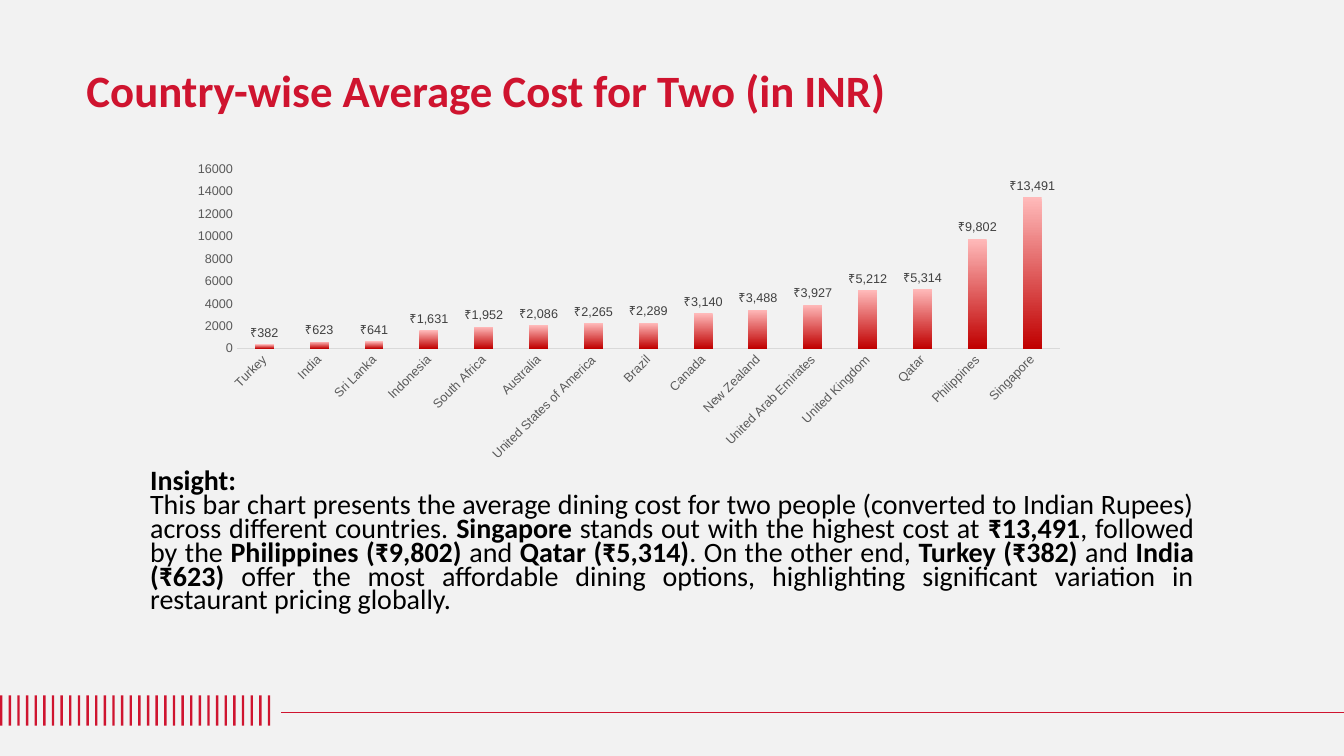
import lxml.etree
import pptx
import pptx.chart.data
import pptx.dml.color
import pptx.enum.chart
import pptx.enum.shapes
import pptx.enum.text
import pptx.oxml
import pptx.oxml.ns
import pptx.util

PX = 9144
COLORS = {
    "background": "F2F2F2", "red": "CF142F", "text": "000000", "axis": "595959",
    "axis_line": "D9D9D9", "label": "404040", "bar_top": "FFBABA", "bar_bottom": "C00000",
}
COSTS = {
    "Turkey": 382, "India": 623, "Sri Lanka": 641, "Indonesia": 1631,
    "South Africa": 1952, "Australia": 2086, "United States of America": 2265,
    "Brazil": 2289, "Canada": 3140, "New Zealand": 3488,
    "United Arab Emirates": 3927, "United Kingdom": 5212, "Qatar": 5314,
    "Philippines": 9802, "Singapore": 13491,
}
INSIGHT = [
    ("This bar chart presents the average dining cost for two people "
     "(converted to Indian Rupees) across different countries. ", False),
    ("Singapore", True),
    (" stands out with the highest cost at ", False),
    ("₹13,491", True),
    (", followed by the ", False),
    ("Philippines (₹9,802)", True),
    (" and ", False),
    ("Qatar (₹5,314)", True),
    (". On the other end, ", False),
    ("Turkey (₹382)", True),
    (" and ", False),
    ("India (₹623)", True),
    (" offer the most affordable dining options, highlighting significant "
     "variation in restaurant pricing globally.", False),
]


def px(n):
    """Turn px into EMU."""
    return pptx.util.Emu(round(n * PX))


def rgb(name):
    """Return a named colour."""
    return pptx.dml.color.RGBColor.from_string(COLORS[name])


def style_font(font, name, size, color, bold=False):
    """Set typeface, size, colour and weight."""
    font.name = name
    font.size = pptx.util.Pt(size)
    font.bold = bold
    font.color.rgb = rgb(color)


def add_text_frame(s, x, y, w, h):
    """Add a wrapping text box and return its frame."""
    tf = s.shapes.add_textbox(px(x), px(y), px(w), px(h)).text_frame
    tf.word_wrap = True
    return tf


def add_title(s, x, y, w, h):
    """Add the slide title."""
    p = add_text_frame(s, x, y, w, h).paragraphs[0]
    p.text = "Country-wise Average Cost for Two (in INR)"
    p.line_spacing = 0.9
    style_font(p.runs[0].font, "Calibri", 32, "red", True)


def add_insight(s, x, y, w, h):
    """Add the insight heading and its justified paragraph."""
    tf = add_text_frame(s, x, y, w, h)
    for i, parts in enumerate([[("Insight:", True)], INSIGHT]):
        p = tf.add_paragraph() if i else tf.paragraphs[0]
        p.alignment = pptx.enum.text.PP_ALIGN.JUSTIFY
        p.line_spacing = pptx.util.Pt(17)
        for text, bold in parts:
            r = p.add_run()
            r.text = text
            style_font(r.font, "Calibri", 20, "text", bold)


def add_footer(s, x, y, w, h, count=32):
    """Add the row of upright bars and the rule that runs to the slide edge."""
    rule_x, rule_y, rule_end = x + 279, y + 17, x + 1333
    share = 0.28
    pitch = w / (count - 1 + share)
    for i in range(count):
        sp = s.shapes.add_shape(
            pptx.enum.shapes.MSO_SHAPE.RECTANGLE,
            px(x + i * pitch), px(y), px(pitch * share), px(h))
        sp.shadow.inherit = False
        sp.fill.solid()
        sp.fill.fore_color.rgb = rgb("red")
        sp.line.fill.background()
    rule = s.shapes.add_connector(
        pptx.enum.shapes.MSO_CONNECTOR.STRAIGHT,
        px(rule_x), px(rule_y), px(rule_end), px(rule_y))
    rule.line.color.rgb = rgb("red")
    rule.line.width = pptx.util.Pt(0.75)
    lxml.etree.SubElement(rule._element.spPr, pptx.oxml.ns.qn("a:effectLst"))


def place_plot(chart, **fractions):
    """Fix the inner plot area as fractions of the chart."""
    plot_area = chart._chartSpace.chart.plotArea
    for old in plot_area.findall(pptx.oxml.ns.qn("c:layout")):
        plot_area.remove(old)
    sizes = "".join(f'<c:{k} val="{v}"/>' for k, v in fractions.items())
    plot_area.insert(0, pptx.oxml.parse_xml(
        f'<c:layout {pptx.oxml.ns.nsdecls("c")}><c:manualLayout>'
        '<c:layoutTarget val="inner"/><c:xMode val="edge"/><c:yMode val="edge"/>'
        f'{sizes}</c:manualLayout></c:layout>'))


def add_cost_chart(s, x, y, w, h):
    """Add the column chart of average cost by country."""
    data = pptx.chart.data.CategoryChartData()
    data.categories = list(COSTS)
    data.add_series("Series 1", list(COSTS.values()))
    chart = s.shapes.add_chart(
        pptx.enum.chart.XL_CHART_TYPE.COLUMN_CLUSTERED,
        px(x), px(y), px(w), px(h), data).chart
    chart.has_legend = False
    chart.has_title = False
    style_font(chart.font, "Arial", 10, "text")
    place_plot(chart, x=57 / w, y=14 / h, w=816 / w, h=178 / h)

    for axis in (chart.category_axis, chart.value_axis):
        axis.has_major_gridlines = False
        axis.major_tick_mark = pptx.enum.chart.XL_TICK_MARK.NONE
        axis.minor_tick_mark = pptx.enum.chart.XL_TICK_MARK.NONE
        style_font(axis.tick_labels.font, "Arial", 9, "axis")
    chart.category_axis.format.line.color.rgb = rgb("axis_line")
    chart.category_axis.format.line.width = pptx.util.Pt(0.75)
    body = chart.category_axis._element.txPr.find(pptx.oxml.ns.qn("a:bodyPr"))
    body.set("rot", "-2700000")
    chart.value_axis.format.line.fill.background()
    chart.value_axis.minimum_scale = 0
    chart.value_axis.maximum_scale = 16000
    chart.value_axis.major_unit = 2000

    plot = chart.plots[0]
    plot.gap_width = 190
    plot.overlap = -27
    plot.vary_by_categories = False
    series = plot.series[0]
    fill = series.format.fill
    fill.gradient()
    fill.gradient_angle = 270
    for stop, name in zip(fill.gradient_stops, ("bar_top", "bar_bottom")):
        stop.color.rgb = rgb(name)
    labels = series.data_labels
    labels.show_value = True
    labels.position = pptx.enum.chart.XL_LABEL_POSITION.OUTSIDE_END
    labels.number_format = '"₹"#,##0'
    labels.number_format_is_linked = False
    style_font(labels.font, "Arial", 9, "label")


def main():
    """Build and save the slide."""
    prs = pptx.Presentation()
    prs.slide_width, prs.slide_height = px(1333), px(750)
    s = prs.slides.add_slide(prs.slide_layouts[6])
    s.background.fill.solid()
    s.background.fill.fore_color.rgb = rgb("background")
    add_footer(s, 0, 690, 268, 30)
    add_cost_chart(s, 178, 154, 891, 310)
    add_insight(s, 139, 464, 1055, 187)
    add_title(s, 76, 63, 833, 58)
    prs.save("out.pptx")


if __name__ == "__main__":
    main()
